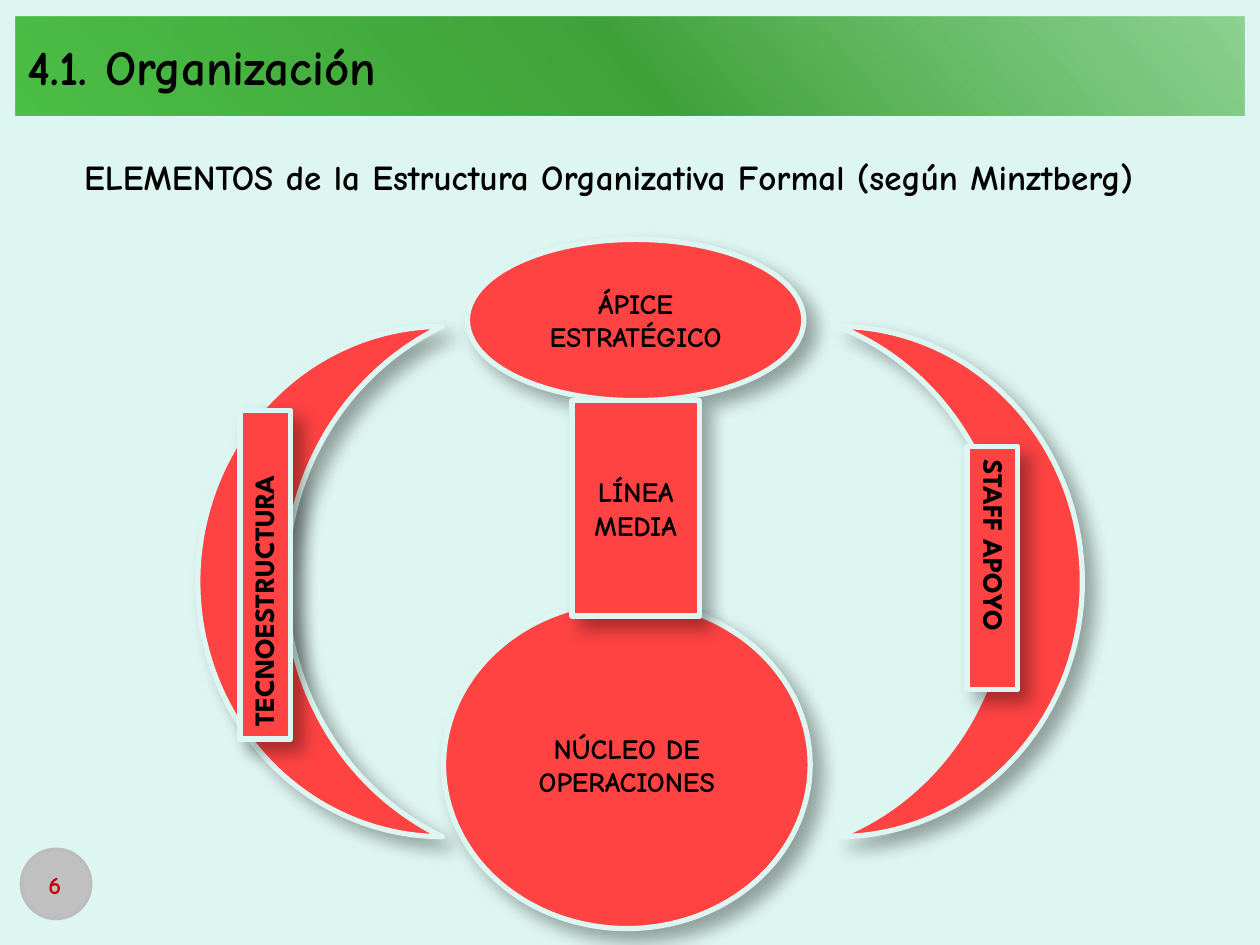
from lxml import etree
from pptx import Presentation
from pptx.dml.color import RGBColor
from pptx.enum.shapes import MSO_SHAPE as SHAPE
from pptx.enum.text import MSO_ANCHOR as ANCHOR, MSO_AUTO_SIZE as AUTO_SIZE, PP_ALIGN as ALIGN
from pptx.oxml import parse_xml
from pptx.oxml.ns import nsdecls, qn
from pptx.util import Inches, Pt

COLORS = {
    "background": "DEF6F1", "part": "FF4343", "text": "000000",
    "badge": "C0C0C0", "badge line": "BDBDBD", "number": "C00000",
}
BODY_FONT, LABEL_FONT = "Comic Neue", "League Spartan"

# Content: boxes are left, top, width, height in inches
TITLE = "4.1. Organización"
SUBTITLE = "ELEMENTOS de la Estructura Organizativa Formal (según Minztberg)"
PAGE_NUMBER = "6"
TITLE_STOPS = [(0, "52B74D", 58), (50, "3FA13A", 100), (100, "4BBF45", 100)]
CORE_PARTS = [
    (SHAPE.OVAL, (3.71, 1.9, 2.67, 1.28), ["ÁPICE ESTRATÉGICO"]),
    (SHAPE.OVAL, (3.52, 4.77, 2.91, 2.6), ["NÚCLEO DE", "OPERACIONES"]),
    (SHAPE.RECTANGLE, (4.54, 3.18, 1.01, 1.71), ["LÍNEA", "MEDIA"]),
]
MOONS = [((1.57, 2.59, 1.94, 4.05), 0, 0.36), ((6.65, 2.59, 1.94, 4.05), 180, 0.31)]
SIDE_LABELS = [
    ((6.91, 4.31, 1.93, 0.4), 90, "STAFF APOYO"),
    ((0.8, 4.36, 2.61, 0.4), 270, "TECNOESTRUCTURA"),
]


def rgb(name):
    return RGBColor.from_string(COLORS[name])


def inches(box):
    return [Inches(value) for value in box]


def write(shape, lines, size, font=BODY_FONT, color="text", align=ALIGN.CENTER,
          anchor=ANCHOR.MIDDLE, wrap=True):
    frame = shape.text_frame
    frame.word_wrap = wrap
    frame.vertical_anchor = anchor
    for index, line in enumerate(lines):
        paragraph = frame.add_paragraph() if index else frame.paragraphs[0]
        paragraph.alignment = align
        paragraph.space_before = Pt(0)
        run = paragraph.add_run()
        run.text = line
        run.font.name, run.font.size, run.font.bold = font, Pt(size), True
        run.font.color.rgb = rgb(color)


def paint(shape, fill, line, width):
    shape.shadow.inherit = False
    shape.fill.solid()
    shape.fill.fore_color.rgb = rgb(fill)
    shape.line.color.rgb = rgb(line)
    shape.line.width = Pt(width)


def add_part(group, kind, box, rotation=0):
    shape = group.shapes.add_shape(kind, *inches(box))
    shape.rotation = rotation
    paint(shape, "part", "background", 3)
    effects = shape._element.spPr.find(qn("a:effectLst"))
    shadow = etree.SubElement(effects, qn("a:outerShdw"), blurRad=str(Pt(10.2)),
                              dist=str(Pt(8)), dir="2700000", algn="tl", rotWithShape="0")
    color = etree.SubElement(shadow, qn("a:srgbClr"), val=COLORS["text"])
    etree.SubElement(color, qn("a:alpha"), val="35000")
    return shape


presentation = Presentation()
presentation.slide_width, presentation.slide_height = Inches(10), Inches(7.5)
slide = presentation.slides.add_slide(presentation.slide_layouts[5])
slide.background.fill.solid()
slide.background.fill.fore_color.rgb = rgb("background")

# Title band with a diagonal gradient
title = slide.shapes.title
title.left, title.top, title.width, title.height = inches((0.12, 0.13, 9.76, 0.79))
stops = "".join(
    f'<a:gs pos="{position * 1000}"><a:srgbClr val="{color}">'
    f'<a:alpha val="{alpha * 1000}"/></a:srgbClr></a:gs>'
    for position, color, alpha in TITLE_STOPS)
title._element.spPr.append(parse_xml(
    f'<a:gradFill {nsdecls("a")} rotWithShape="1"><a:gsLst>{stops}</a:gsLst>'
    f'<a:lin ang="{139 * 60000}" scaled="0"/></a:gradFill>'))
write(title, [TITLE], 28, align=ALIGN.JUSTIFY)

# Subtitle
subtitle = slide.shapes.add_textbox(*inches((0.57, 1.15, 9.16, 0.5)))
write(subtitle, [SUBTITLE], 20, align=ALIGN.LEFT)

# Organization diagram
diagram = slide.shapes.add_group_shape()
for kind, box, lines in CORE_PARTS:
    write(add_part(diagram, kind, box), lines, 16)
for box, rotation, thickness in MOONS:
    add_part(diagram, SHAPE.MOON, box, rotation).adjustments[0] = thickness
for box, rotation, label in SIDE_LABELS:
    shape = add_part(diagram, SHAPE.RECTANGLE, box, rotation)
    write(shape, [label], 16, LABEL_FONT, align=ALIGN.LEFT, anchor=ANCHOR.TOP, wrap=False)
    shape.text_frame.auto_size = AUTO_SIZE.SHAPE_TO_FIT_TEXT

# Page number badge
badge = slide.shapes.add_shape(SHAPE.OVAL, *inches((0.17, 6.74, 0.55, 0.55)))
paint(badge, "badge", "badge line", 2)
number = slide.shapes.add_textbox(*inches((0.04, 6.82, 0.79, 0.4)))
write(number, [PAGE_NUMBER], 14, color="number")

presentation.save("out.pptx")
